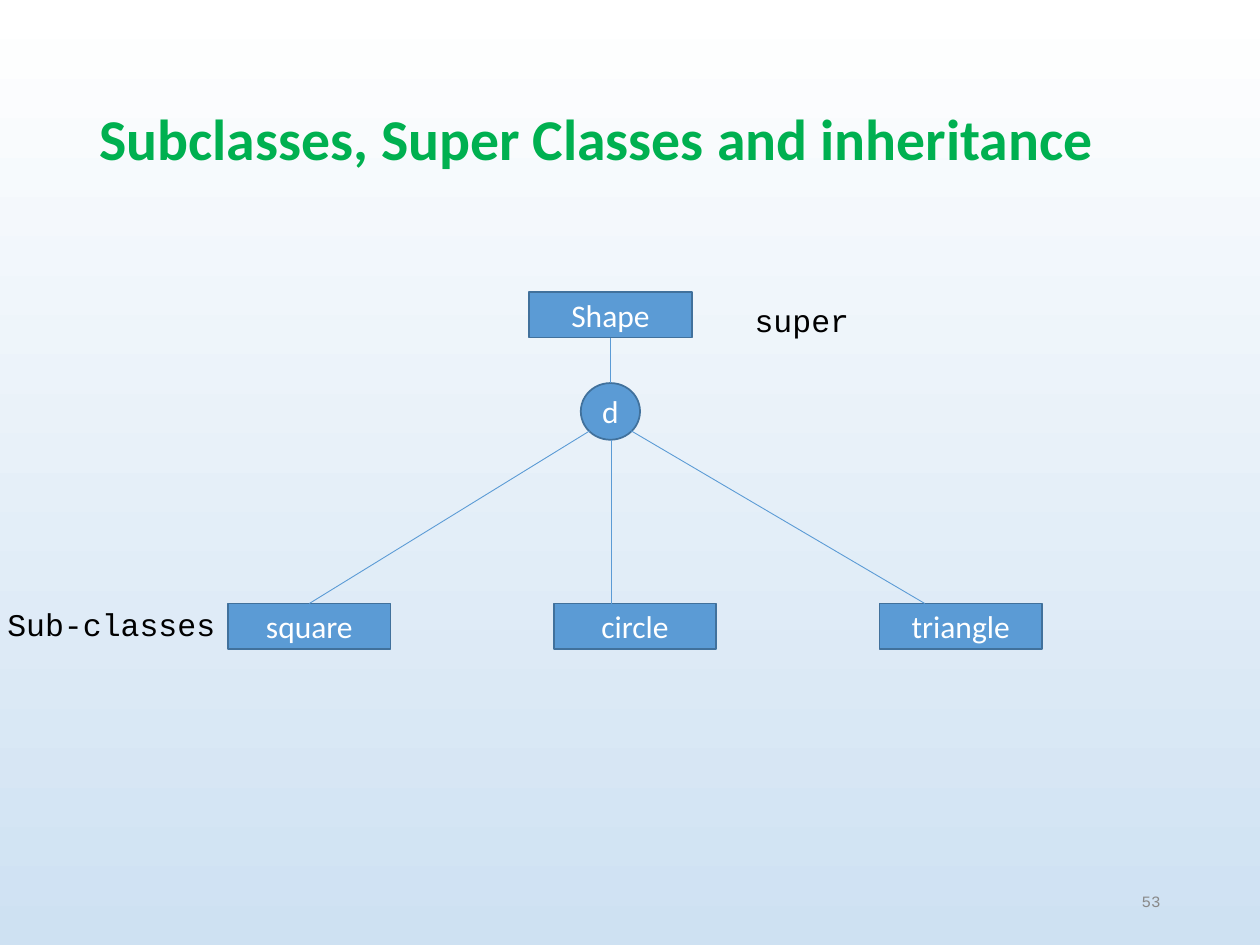
from lxml.etree import SubElement
from pptx import Presentation
from pptx.dml.color import RGBColor
from pptx.enum.shapes import MSO_CONNECTOR as LINE, MSO_SHAPE as SHAPE
from pptx.enum.text import MSO_ANCHOR as ANCHOR, MSO_AUTO_SIZE as AUTO, PP_ALIGN as ALIGN
from pptx.oxml.ns import qn
from pptx.util import Inches, Pt

COLS, ROWS = 100, 75


def rgb(value):
    """Turn a hex string into a colour."""
    return RGBColor.from_string(value)


class Diagram:
    """Style and current slide, measured on a grid of columns and rows."""

    blue, edge, white, black = "5B9BD5", "41719C", "FFFFFF", "000000"
    sans, mono = "Calibri", "Courier New"

    def __init__(self, prs):
        """Add a blank slide to the presentation."""
        self.prs = prs
        self.s = prs.slides.add_slide(prs.slide_layouts[6])

    def place(self, *lengths):
        """Convert alternating column and row values to slide lengths."""
        units = self.prs.slide_width / COLS, self.prs.slide_height / ROWS
        return [round(v * units[i % 2]) for i, v in enumerate(lengths)]

    def background(self, top, bottom):
        """Fill the background with a vertical gradient."""
        fill = self.s.background.fill
        fill.gradient()
        fill.gradient_angle = 270
        for stop, position, color in zip(fill.gradient_stops, (0, 1), (top, bottom)):
            stop.position = position
            stop.color.rgb = rgb(color)

    def label(self, sp, text, size, font, color, align=ALIGN.LEFT, bold=False):
        """Put one styled run in a shape and return its paragraph."""
        p = sp.text_frame.paragraphs[0]
        p.alignment = align
        r = p.add_run()
        r.text = text
        r.font.size, r.font.name, r.font.bold = Pt(size), font, bold
        r.font.color.rgb = rgb(color)
        return p

    def text(self, box, text, size=18, font=mono, color=black, align=ALIGN.LEFT,
             bold=False, anchor=ANCHOR.TOP, wrap=True, grow=False, spacing=None):
        """Add a text box."""
        sp = self.s.shapes.add_textbox(*self.place(*box))
        tf = sp.text_frame
        tf.word_wrap, tf.vertical_anchor = wrap, anchor
        tf.auto_size = AUTO.SHAPE_TO_FIT_TEXT if grow else AUTO.NONE
        p = self.label(sp, text, size, font, color, align, bold)
        p.line_spacing = spacing

    def node(self, text, x, y, w=12.9, h=3.6, kind=SHAPE.RECTANGLE):
        """Add a labelled node of the hierarchy."""
        sp = self.s.shapes.add_shape(kind, *self.place(x, y, w, h))
        sp.shadow.inherit = False
        sp.fill.solid()
        sp.fill.fore_color.rgb = rgb(self.blue)
        sp.line.color.rgb = rgb(self.edge)
        sp.line.width = Pt(1)
        sp.text_frame.vertical_anchor = ANCHOR.MIDDLE
        self.label(sp, text, 18, self.sans, self.white, ALIGN.CENTER)
        return sp

    def link(self, x1, y1, x2, y2, begin=None, end=None):
        """Draw a thin line, joined to a node's bottom or top where given."""
        c = self.s.shapes.add_connector(LINE.STRAIGHT, *self.place(x1, y1, x2, y2))
        c.line.color.rgb = rgb(self.blue)
        c.line.width = Pt(0.5)
        SubElement(c._element.spPr, qn("a:effectLst"))
        if begin is not None:
            c.begin_connect(begin, 2)
        if end is not None:
            c.end_connect(end, 0)


def main():
    """Build the inheritance slide."""
    prs = Presentation()
    prs.slide_width, prs.slide_height = Inches(10), Inches(7.5)
    d = Diagram(prs)
    d.background("FFFFFF", "CEE1F2")
    d.text((6.9, 4, 86.3, 14.5), "Subclasses, Super Classes and inheritance", 33,
           d.sans, "00B050", bold=True, anchor=ANCHOR.MIDDLE, spacing=0.9)
    d.text((70.6, 69.5, 22.5, 4), "53", 9, color="898989", align=ALIGN.RIGHT,
           anchor=ANCHOR.MIDDLE)

    sub_top, axis = 47.9, 48.5
    parent = d.node("Shape", 42, 23.2)
    square, circle, triangle = [d.node(name, 18.1 + 25.85 * i, sub_top)
                                for i, name in enumerate(("square", "circle", "triangle"))]
    disjoint = d.node("d", 46.1, 30.4, 4.7, 4.5, SHAPE.OVAL)

    d.link(axis, 26.8, axis, 30.4, parent, disjoint)
    d.link(46.8, 34.2, 24.5, sub_top, end=square)
    d.link(axis, 34.9, axis, sub_top)
    d.link(50.1, 34.2, 73.4, sub_top)

    d.text((58.9, 23.4, 9.5, 4), "super", wrap=False, grow=True)
    d.text((-0.4, 47.5, 20.3, 4), "Sub-classes", grow=True)
    prs.save("out.pptx")


if __name__ == "__main__":
    main()
